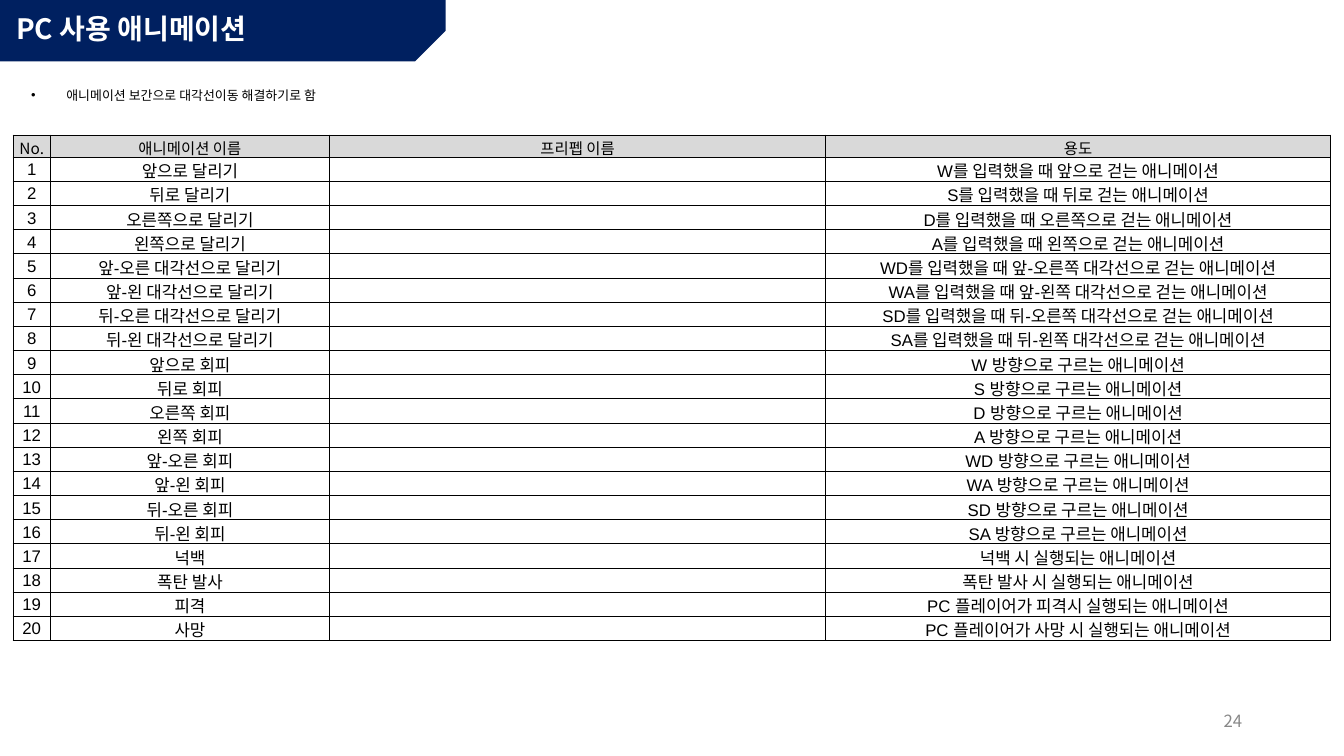
from dataclasses import dataclass

from lxml.etree import SubElement
from pptx import Presentation
from pptx.dml.color import RGBColor
from pptx.enum.shapes import MSO_SHAPE
from pptx.enum.text import MSO_ANCHOR, PP_ALIGN
from pptx.oxml.ns import qn
from pptx.util import Inches, Pt


@dataclass(frozen=True)
class Theme:
    navy: RGBColor = RGBColor(0x00, 0x20, 0x60)
    white: RGBColor = RGBColor(0xFF, 0xFF, 0xFF)
    black: RGBColor = RGBColor(0x00, 0x00, 0x00)
    header_gray: RGBColor = RGBColor(0xD9, 0xD9, 0xD9)
    number_gray: RGBColor = RGBColor(0x88, 0x88, 0x88)
    korean: str = "Noto Sans CJK KR"
    latin: str = "Arial"
    title_size: float = 20
    header_size: float = 11
    body_size: float = 12
    note_size: float = 9.2
    border: float = 0.75


THEME = Theme()

HEADERS = ["No.", "애니메이션 이름", "프리펩 이름", "용도"]
COLUMN_WIDTHS = [0.37, 2.77, 4.92, 5.01]
HEADER_HEIGHT = 0.22
ROW_HEIGHT = 0.24

DIRECTIONS = [
    ("W", "앞으로", "앞으로", "앞으로"),
    ("S", "뒤로", "뒤로", "뒤로"),
    ("D", "오른쪽으로", "오른쪽", "오른쪽으로"),
    ("A", "왼쪽으로", "왼쪽", "왼쪽으로"),
    ("WD", "앞-오른 대각선으로", "앞-오른", "앞-오른쪽 대각선으로"),
    ("WA", "앞-왼 대각선으로", "앞-왼", "앞-왼쪽 대각선으로"),
    ("SD", "뒤-오른 대각선으로", "뒤-오른", "뒤-오른쪽 대각선으로"),
    ("SA", "뒤-왼 대각선으로", "뒤-왼", "뒤-왼쪽 대각선으로"),
]
REACTIONS = [
    ("넉백", "넉백 시 실행되는 애니메이션"),
    ("폭탄 발사", "폭탄 발사 시 실행되는 애니메이션"),
    ("피격", "PC 플레이어가 피격시 실행되는 애니메이션"),
    ("사망", "PC 플레이어가 사망 시 실행되는 애니메이션"),
]


def animation_rows():
    runs = [
        (f"{run} 달리기", f"{key}를 입력했을 때 {walk} 걷는 애니메이션")
        for key, run, _, walk in DIRECTIONS
    ]
    dodges = [
        (f"{dodge} 회피", f"{key} 방향으로 구르는 애니메이션")
        for key, _, dodge, _ in DIRECTIONS
    ]
    animations = runs + dodges + REACTIONS
    return [
        [str(number), name, "", usage]
        for number, (name, usage) in enumerate(animations, 1)
    ]


def format_text(paragraph, size, color, latin=THEME.korean, bold=False):
    for run in paragraph.runs:
        run.font.size = Pt(size)
        run.font.color.rgb = color
        run.font.bold = bold
        run.font.name = latin
        SubElement(run.font._element, qn("a:ea")).set("typeface", THEME.korean)


def place(shape, left, top, width, height):
    shape.left, shape.top = Inches(left), Inches(top)
    shape.width, shape.height = Inches(width), Inches(height)


def add_banner(slide):
    banner = slide.shapes.add_shape(
        MSO_SHAPE.SNIP_1_RECTANGLE, 0, 0, Inches(4.42), Inches(0.61)
    )
    banner.adjustments[0] = 0.5
    banner._element.spPr.xfrm.set("flipV", "1")
    banner.shadow.inherit = False
    banner.fill.solid()
    banner.fill.fore_color.rgb = THEME.navy
    banner.line.fill.background()
    slide.shapes._spTree.insert(2, banner._element)


def set_title(slide, text):
    title = slide.shapes.title
    place(title, 0.06, 0.07, 4.03, 0.46)
    frame = title.text_frame
    frame.text = text
    frame.vertical_anchor = MSO_ANCHOR.MIDDLE
    heading = frame.paragraphs[0]
    heading.alignment = PP_ALIGN.LEFT
    heading.line_spacing = 0.9
    format_text(heading, THEME.title_size, THEME.white, bold=True)


def add_text(slide, text, box, size, color):
    frame = slide.shapes.add_textbox(*map(Inches, box)).text_frame
    frame.word_wrap = True
    frame.text = text
    format_text(frame.paragraphs[0], size, color)
    return frame


def add_note(slide, text):
    box = (0.06, 0.76, 6.48, 0.46)
    frame = add_text(slide, text, box, THEME.note_size, THEME.black)
    note = frame.paragraphs[0]
    note.line_spacing = 1.4
    note.space_before = Pt(10)
    properties = note._p.get_or_add_pPr()
    properties.set("marL", str(Inches(0.5)))
    properties.set("indent", str(Inches(-0.35)))
    SubElement(properties, qn("a:buFont")).set("typeface", THEME.latin)
    SubElement(properties, qn("a:buChar")).set("char", "•")


def add_page_number(slide, number):
    box = (9.42, 6.95, 3, 0.4)
    frame = add_text(slide, number, box, THEME.body_size, THEME.number_gray)
    frame.vertical_anchor = MSO_ANCHOR.MIDDLE
    frame.paragraphs[0].alignment = PP_ALIGN.RIGHT


def set_borders(cell):
    properties = cell._tc.get_or_add_tcPr()
    for position, side in enumerate(("lnL", "lnR", "lnT", "lnB")):
        line = SubElement(properties, qn(f"a:{side}"))
        line.set("w", str(Pt(THEME.border)))
        fill = SubElement(line, qn("a:solidFill"))
        SubElement(fill, qn("a:srgbClr")).set("val", str(THEME.black))
        properties.insert(position, line)


def fill_cell(cell, text, is_header):
    cell.margin_left = cell.margin_right = cell.margin_top = Inches(0.01)
    cell.margin_bottom = 0
    cell.vertical_anchor = MSO_ANCHOR.MIDDLE
    cell.text = text
    label = cell.text_frame.paragraphs[0]
    label.alignment = PP_ALIGN.CENTER
    size = THEME.header_size if is_header else THEME.body_size
    latin = THEME.korean if text == HEADERS[0] else THEME.latin
    format_text(label, size, THEME.black, latin)
    if not text:
        label._p.get_or_add_endParaRPr().set("sz", str(size * 100))
    if is_header:
        cell.fill.solid()
        cell.fill.fore_color.rgb = THEME.header_gray
    else:
        cell.fill.background()
    set_borders(cell)


def add_animation_table(slide):
    rows = [HEADERS] + animation_rows()
    height = HEADER_HEIGHT + ROW_HEIGHT * (len(rows) - 1)
    table = slide.shapes.add_table(
        len(rows), len(HEADERS), Inches(0.13), Inches(1.34),
        Inches(sum(COLUMN_WIDTHS)), Inches(height),
    ).table
    table.first_row = table.horz_banding = False
    for column, width in zip(table.columns, COLUMN_WIDTHS):
        column.width = Inches(width)
    for index, texts in enumerate(rows):
        row = table.rows[index]
        row.height = Inches(ROW_HEIGHT if index else HEADER_HEIGHT)
        for cell, text in zip(row.cells, texts):
            fill_cell(cell, text, index == 0)


def main():
    deck = Presentation()
    deck.slide_width, deck.slide_height = Inches(13.33), Inches(7.5)
    slide = deck.slides.add_slide(deck.slide_layouts[5])
    add_banner(slide)
    add_page_number(slide, "24")
    set_title(slide, "PC 사용 애니메이션")
    add_animation_table(slide)
    add_note(slide, "애니메이션 보간으로 대각선이동 해결하기로 함")
    deck.save("out.pptx")


if __name__ == "__main__":
    main()
